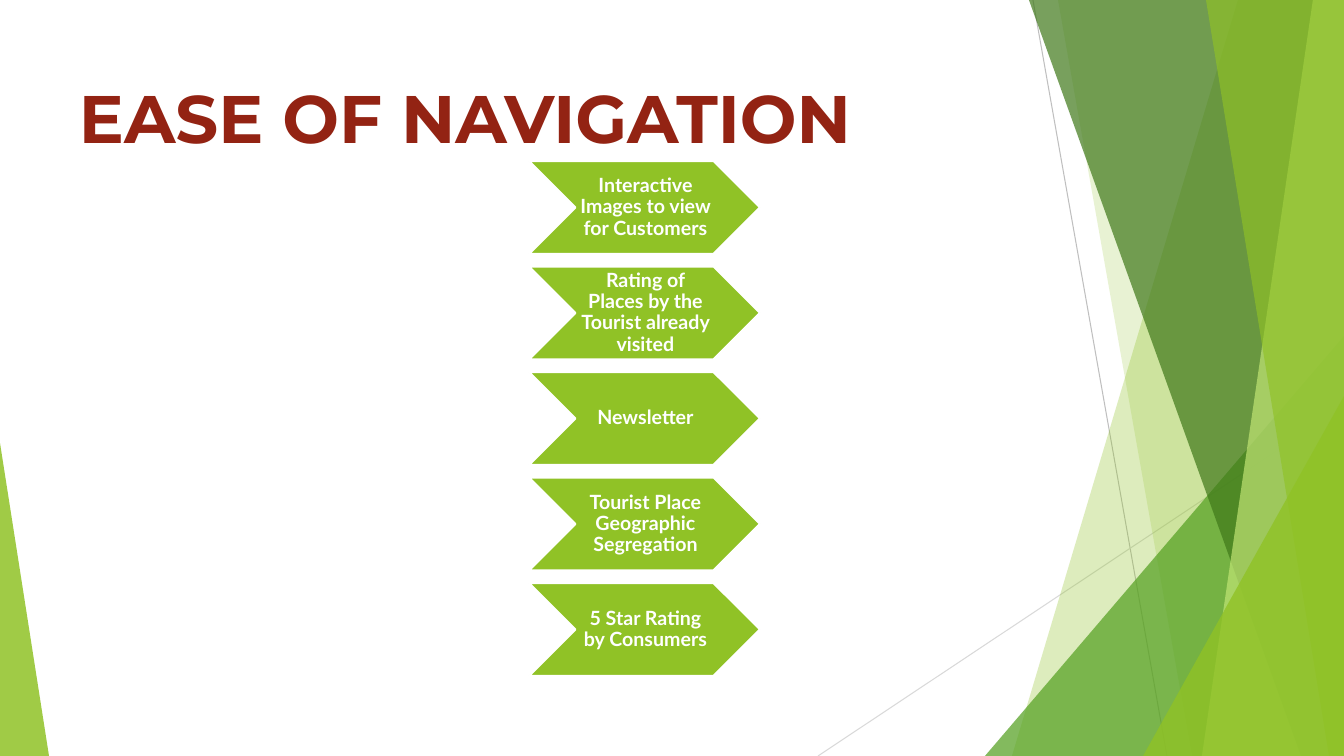
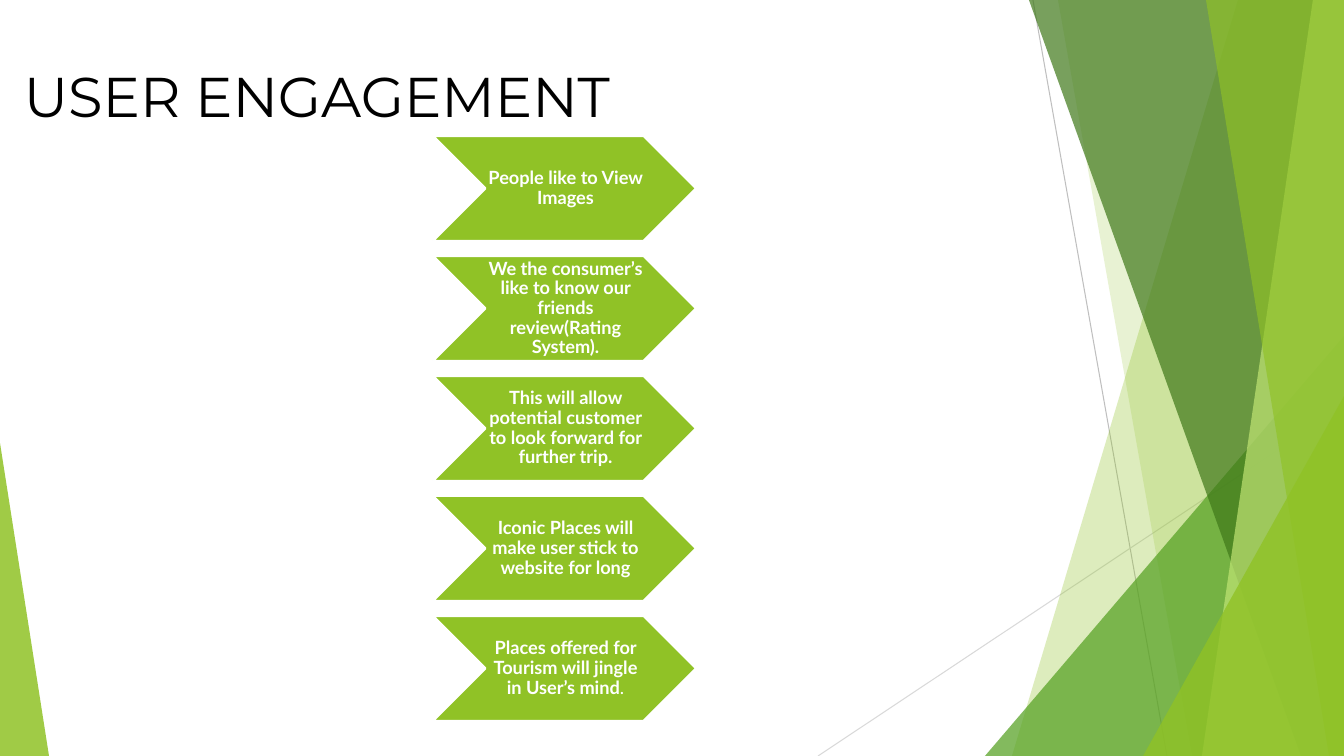
import pptx
import pptx.dml.color
import pptx.enum.shapes
import pptx.enum.text
import pptx.oxml.ns
import pptx.util
from lxml import etree

EMU_PER_PIXEL = 914400 / 100.8
WIDTH, HEIGHT = 1344, 756

# Shared colours and fonts
LIME = "90C226"
GREEN = "54A021"
DARK_GREEN = "3F7819"
PALE_LIME = "C0E474"
WHITE = "FFFFFF"
TITLE_FONT = "Montserrat"
BODY_FONT = "Lato"

# Right-hand bands: top-left x, bottom-left x, colour, opacity in percent
BACK_BANDS = [(1238, 1012, LIME, 30), (1058, 1192, LIME, 20)]
FRONT_BANDS = [
    (1029, 1301, DARK_GREEN, 70),
    (1313, 1202, PALE_LIME, 70),
    (1206, 1329, LIME, 65),
]


def px(length):
    return pptx.util.Emu(round(length * EMU_PER_PIXEL))


def color(hex_string):
    return pptx.dml.color.RGBColor.from_string(hex_string)


def paint(shape, fill, opacity=100):
    """Flat fill without outline or shadow."""
    shape.shadow.inherit = False
    shape.fill.solid()
    shape.fill.fore_color.rgb = color(fill)
    shape.line.fill.background()
    if opacity < 100:
        fill_color = shape._element.spPr.find(
            pptx.oxml.ns.qn("a:solidFill") + "/" + pptx.oxml.ns.qn("a:srgbClr"))
        alpha = etree.SubElement(fill_color, pptx.oxml.ns.qn("a:alpha"))
        alpha.set("val", str(opacity * 1000))


def add_line(slide, start, end, line_color):
    connector = slide.shapes.add_connector(
        pptx.enum.shapes.MSO_CONNECTOR.STRAIGHT,
        *[px(value) for value in (*start, *end)])
    connector.line.color.rgb = color(line_color)
    connector.line.width = pptx.util.Pt(0.75)
    etree.SubElement(connector._element.spPr, pptx.oxml.ns.qn("a:effectLst"))


def add_band(slide, top_x, bottom_x, fill, opacity):
    """Band from a slanted left edge to the right side of the slide."""
    builder = slide.shapes.build_freeform(top_x, 0, scale=EMU_PER_PIXEL)
    builder.add_line_segments(
        [(WIDTH, 0), (WIDTH, HEIGHT), (bottom_x, HEIGHT)], close=True)
    paint(builder.convert_to_shape(), fill, opacity)


def add_corner_triangle(slide, left, top, width, apex, fill, opacity):
    """Triangle standing on the bottom edge; apex 0 is left, 1 is right."""
    triangle = slide.shapes.add_shape(
        pptx.enum.shapes.MSO_SHAPE.ISOSCELES_TRIANGLE,
        px(left), px(top), px(width), px(HEIGHT - top))
    triangle.adjustments[0] = apex
    paint(triangle, fill, opacity)


def add_run(paragraph, text, font, size, text_color, bold):
    run = paragraph.add_run()
    run.text = text
    run.font.name = font
    run.font.size = pptx.util.Pt(size)
    run.font.bold = bold
    run.font.color.rgb = color(text_color)


def add_title(slide, text, left, top, width, height, size, text_color, bold):
    box = slide.shapes.add_textbox(px(left), px(top), px(width), px(height))
    box.text_frame.word_wrap = True
    add_run(box.text_frame.paragraphs[0], text, TITLE_FONT, size, text_color, bold)


def add_chevron(slide, left, top, width, height, runs, size):
    chevron = slide.shapes.add_shape(
        pptx.enum.shapes.MSO_SHAPE.CHEVRON,
        px(left), px(top), px(width), px(height))
    paint(chevron, LIME)
    chevron.line.color.rgb = color(WHITE)
    chevron.line.width = pptx.util.Pt(1.5)
    frame = chevron.text_frame
    frame.word_wrap = True
    frame.vertical_anchor = pptx.enum.text.MSO_ANCHOR.MIDDLE
    frame.margin_left, frame.margin_right = px(2), 0
    frame.margin_top = frame.margin_bottom = px(1)
    paragraph = frame.paragraphs[0]
    paragraph.alignment = pptx.enum.text.PP_ALIGN.CENTER
    paragraph.line_spacing = 0.9
    for text, bold in runs:
        add_run(paragraph, text, BODY_FONT, size, WHITE, bold)


def add_chevron_list(slide, items, left, first_top, last_top, width, height, size):
    """Evenly spaced chevrons, one per item."""
    step = (last_top - first_top) / (len(items) - 1)
    for index, runs in enumerate(items):
        add_chevron(slide, left, first_top + index * step, width, height, runs, size)


def add_themed_slide(presentation):
    """Blank slide with the decoration that all slides share."""
    slide = presentation.slides.add_slide(presentation.slide_layouts[6])
    add_line(slide, (1033, 0), (1167, HEIGHT), "BFBFBF")
    add_line(slide, (WIDTH, 406), (818, HEIGHT), "D9D9D9")
    for band in BACK_BANDS:
        add_band(slide, *band)
    add_corner_triangle(slide, 985, 336, 359, 1, GREEN, 72)
    for band in FRONT_BANDS:
        add_band(slide, *band)
    add_corner_triangle(slide, 1143, 396, 201, 1, LIME, 80)
    add_corner_triangle(slide, 0, 443, 49, 0, LIME, 85)
    return slide


def build_navigation(presentation):
    slide = add_themed_slide(presentation)
    features = [
        [("Interactive Images to view for Customers", True)],
        [("Rating of Places by the Tourist already visited", True)],
        [("Newsletter", True)],
        [("Tourist Place Geographic Segregation", True)],
        [("5 Star Rating by Consumers", True)],
    ]
    add_chevron_list(slide, features, left=529, first_top=161, last_top=583,
                     width=231, height=93, size=14)
    add_title(slide, "EASE OF NAVIGATION", 69, 71, 845, 92, 48, "932313", True)


def build_engagement(presentation):
    slide = add_themed_slide(presentation)
    add_title(slide, "USER ENGAGEMENT", 14, 57, 668, 78, 40, "000000", False)
    reasons = [
        [("People like to View Images", True)],
        [("We the consumer’s like to know our friends review(Rating System).", True)],
        [("This will allow potential customer to look forward for further trip.", True)],
        [("Iconic Places will make user stick to website for long", True)],
        [("Places offered for Tourism will jingle in User’s mind", True), (".", False)],
    ]
    add_chevron_list(slide, reasons, left=433, first_top=136, last_top=616,
                     width=263, height=105, size=13)


def main():
    presentation = pptx.Presentation()
    presentation.slide_width = px(WIDTH)
    presentation.slide_height = px(HEIGHT)
    build_navigation(presentation)
    build_engagement(presentation)
    presentation.save("out.pptx")


main()
